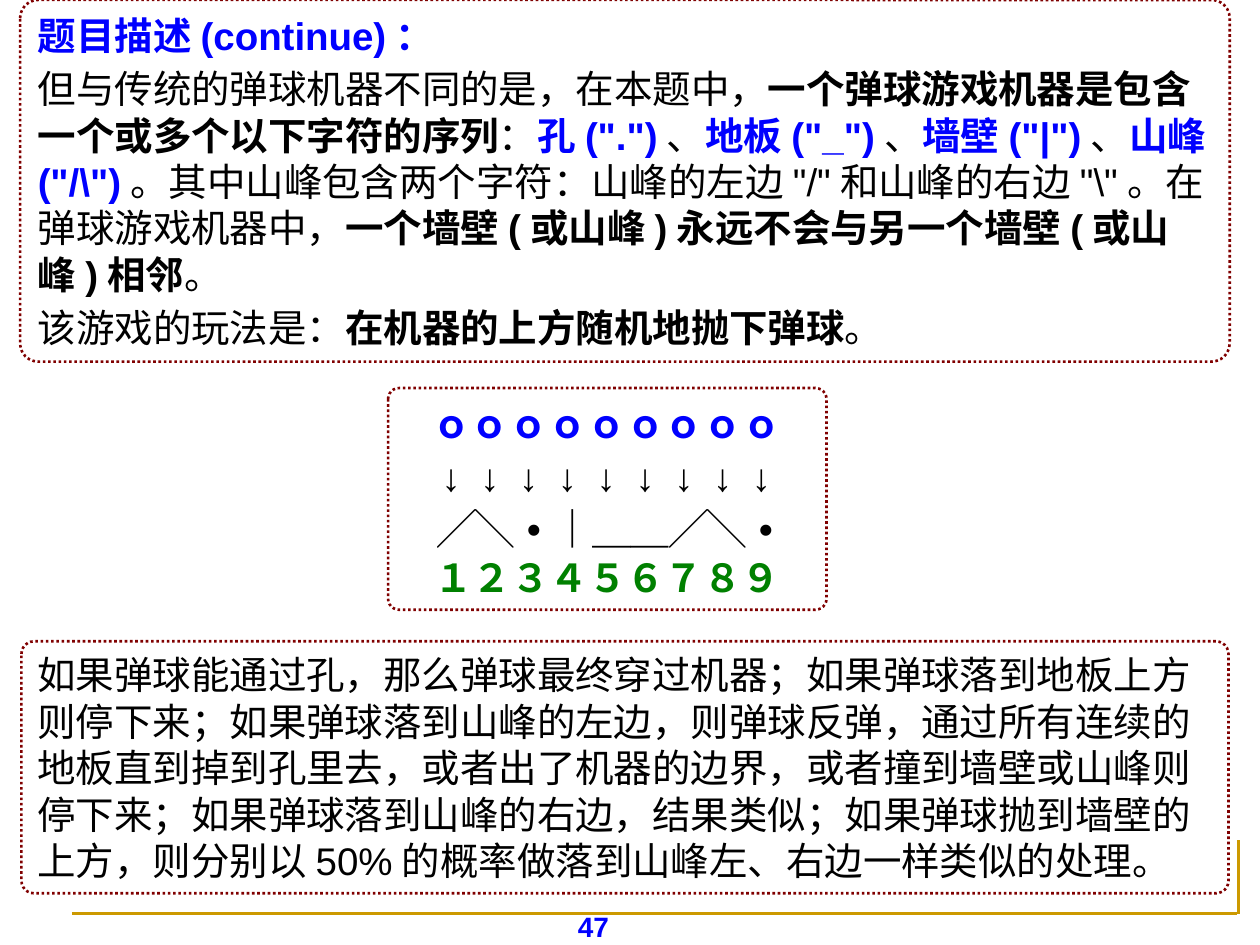
import lxml.etree
import pptx
import pptx.dml.color
import pptx.enum.dml
import pptx.enum.shapes
import pptx.enum.text
import pptx.oxml.ns
import pptx.util

COLUMNS, ROWS = 100, 75
CELL = pptx.util.Inches(0.1)
BLACK, BLUE, GREEN, MAROON, GOLD, WHITE = "000000", "0000FF", "008000", "800000", "CC9900", "FFFFFF"
LEFT = pptx.enum.text.PP_ALIGN.LEFT
CENTER = pptx.enum.text.PP_ALIGN.CENTER
TOP = pptx.enum.text.MSO_ANCHOR.TOP
BOTTOM = pptx.enum.text.MSO_ANCHOR.BOTTOM

DESCRIPTION = [
    [("题目描述(continue)：", BLUE, True)],
    [
        ("但与传统的弹球机器不同的是，在本题中，", BLACK, False),
        ("一个弹球游戏机器是包含一个或多个以下字符的序列", BLACK, True),
        ("：", BLACK, False),
        ('孔(".")', BLUE, True),
        ("、", BLACK, False),
        ('地板("_")', BLUE, True),
        ("、", BLACK, False),
        ('墙壁("|")', BLUE, True),
        ("、", BLACK, False),
        ('山峰("/\\")', BLUE, True),
        ('。其中山峰包含两个字符：山峰的左边"/"和山峰的右边"\\"。在弹球游戏机器中，', BLACK, False),
        ("一个墙壁(或山峰)永远不会与另一个墙壁(或山峰)相邻", BLACK, True),
        ("。", BLACK, False),
    ],
    [
        ("该游戏的玩法是：", BLACK, False),
        ("在机器的上方随机地抛下弹球", BLACK, True),
        ("。", BLACK, False),
    ],
]
RULES = [[(
    "如果弹球能通过孔，那么弹球最终穿过机器；如果弹球落到地板上方则停下来；"
    "如果弹球落到山峰的左边，则弹球反弹，通过所有连续的地板直到掉到孔里去，"
    "或者出了机器的边界，或者撞到墙壁或山峰则停下来；如果弹球落到山峰的右边，结果类似；"
    "如果弹球抛到墙壁的上方，则分别以50%的概率做落到山峰左、右边一样类似的处理。", BLACK, False)]]
MACHINE = [
    [(part, BLACK, True) for part in ("╱╲", " ", "•", " ", "｜＿＿╱╲", " ", "•")],
    [("１２３４５６７８９", GREEN, True)],
]
BALL = [[("ｏ", BLUE, True)], [("↓", BLACK, True)]]


def color(value):
    """Turn a hex string into a colour."""
    return pptx.dml.color.RGBColor.from_string(value)


def place(*cells):
    """Turn grid cells into slide lengths."""
    return [round(cell * CELL) for cell in cells]


def style_run(run, fill, bold, face, size):
    """Format one run, with the same face for Latin and Chinese text."""
    run.font.name = face
    run.font.size = pptx.util.Pt(size)
    run.font.bold = bold
    run.font.color.rgb = color(fill)
    properties = run.font._element
    east_asian = lxml.etree.Element(pptx.oxml.ns.qn("a:ea"), typeface=face)
    properties.find(pptx.oxml.ns.qn("a:latin")).addnext(east_asian)


def write(shape, paragraphs, face="Arial", align=LEFT, anchor=TOP, size=22,
          pitch=26.5, after=4.1, insets=(0.1, 0.05)):
    """Fill a shape with paragraphs of formatted runs."""
    frame = shape.text_frame
    frame.word_wrap = True
    frame.vertical_anchor = anchor
    frame.margin_left = frame.margin_right = pptx.util.Inches(insets[0])
    frame.margin_top = frame.margin_bottom = pptx.util.Inches(insets[1])
    for index, parts in enumerate(paragraphs):
        paragraph = frame.add_paragraph() if index else frame.paragraphs[0]
        paragraph.alignment = align
        paragraph.space_after = pptx.util.Pt(after)
        paragraph.line_spacing = pptx.util.Pt(pitch)
        for text, fill, bold in parts:
            run = paragraph.add_run()
            run.text = text
            style_run(run, fill, bold, face, 8 if text == " " else size)


def add_panel(shapes, left, top, width, height):
    """Add a white rounded panel with a dotted border."""
    panel = shapes.add_shape(
        pptx.enum.shapes.MSO_SHAPE.ROUNDED_RECTANGLE, *place(left, top, width, height))
    panel.adjustments[0] = 0.05
    panel.shadow.inherit = False
    panel.fill.solid()
    panel.fill.fore_color.rgb = color(WHITE)
    panel.line.color.rgb = color(MAROON)
    panel.line.width = pptx.util.Pt(1.5)
    panel.line.dash_style = pptx.enum.dml.MSO_LINE.ROUND_DOT
    return panel


def add_rule(shapes, start, end):
    """Add a gold footer line between two grid points."""
    rule = shapes.add_connector(
        pptx.enum.shapes.MSO_CONNECTOR.STRAIGHT, *place(*start, *end))
    rule.line.color.rgb = color(GOLD)
    rule.line.width = pptx.util.Pt(1.5)
    lxml.etree.SubElement(rule._element.spPr, pptx.oxml.ns.qn("a:effectLst"))


def add_machine(slide):
    """Add the grouped pinball machine with a ball above each of its columns."""
    shapes = slide.shapes.add_group_shape().shapes
    panel = add_panel(shapes, 30.8, 30.8, 34.8, 17.6)
    write(panel, MACHINE, "Courier New", CENTER, BOTTOM, after=1.5)
    for column in range(9):
        ball = shapes.add_textbox(*place(34.3 + 3.08 * column, 31.7, 3, 7.9))
        write(ball, BALL, "Courier New", CENTER, insets=(0, 0))


def main():
    """Build and save the slide."""
    presentation = pptx.Presentation()
    presentation.slide_width, presentation.slide_height = place(COLUMNS, ROWS)
    slide = presentation.slides.add_slide(presentation.slide_layouts[6])
    add_rule(slide.shapes, (98.3, 66.7), (98.3, 72.5))
    add_rule(slide.shapes, (5.7, 72.5), (98.2, 72.5))
    number = slide.shapes.add_textbox(*place(36.7, 71.8, 20.8, 2.5))
    write(number, [[("47", BLUE, True)]], align=CENTER, size=16, pitch=18.4, after=0)
    write(add_panel(slide.shapes, 1.6, 0, 96, 28.7), DESCRIPTION)
    write(add_panel(slide.shapes, 1.7, 50.9, 95.8, 20), RULES)
    add_machine(slide)
    presentation.save("out.pptx")


if __name__ == "__main__":
    main()
